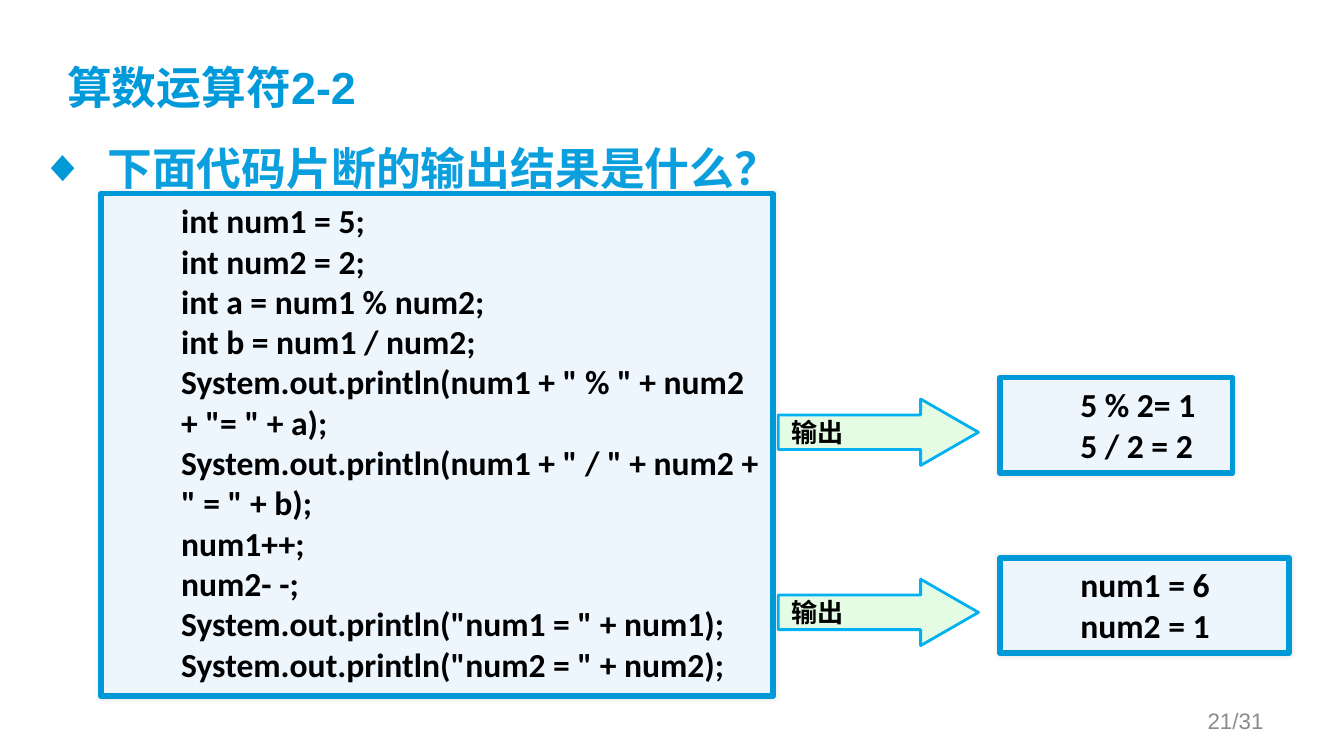
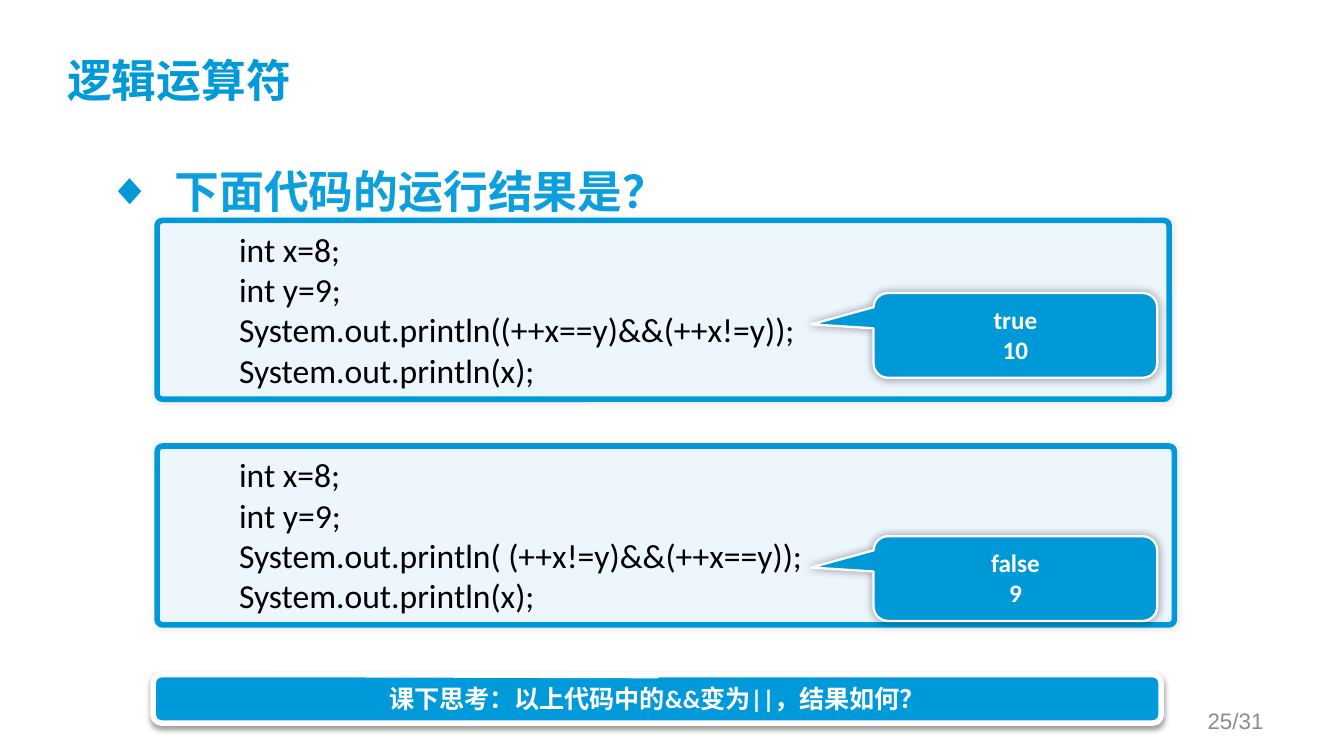
from lxml.etree import SubElement
from pptx import Presentation
from pptx.dml.color import RGBColor
from pptx.enum.shapes import MSO_SHAPE
from pptx.enum.text import MSO_ANCHOR, PP_ALIGN
from pptx.oxml.ns import qn
from pptx.util import Pt

# Colours
BLUE = RGBColor(0x00, 0x99, 0xD8)
TITLE = RGBColor(0x00, 0x9A, 0xDA)
LEAD = RGBColor(0x0B, 0x9F, 0xDD)
PALE = RGBColor(0xED, 0xF5, 0xFD)
MINT = RGBColor(0xE4, 0xFC, 0xE4)
SKY = RGBColor(0x00, 0xB0, 0xF0)
GREY = RGBColor(0x8C, 0x8C, 0x8C)
WHITE = RGBColor(0xFF, 0xFF, 0xFF)
BLACK = RGBColor(0x00, 0x00, 0x00)

# Content
CJK = "Noto Sans CJK SC"
MATH = {
    "title": "算数运算符2-2", "face": "Arial", "top": 23.8, "page": "21/31",
    "lead": "下面代码片断的输出结果是什么？",
    "code": [
        'int num1 = 5;',
        'int num2 = 2;',
        'int a = num1 % num2;',
        'int b = num1 / num2;',
        'System.out.println(num1 + " % " + num2 + "= " + a);',
        'System.out.println(num1 + " / " + num2 + " = " + b);',
        'num1++;',
        'num2- -;',
        'System.out.println("num1 = " + num1);',
        'System.out.println("num2 = " + num2);',
    ],
    "label": "输出",
    # lines, box width
    "prints": [(["5 % 2= 1", "5 / 2 = 2"], 124.6),
               (["num1 = 6", "num2 = 1"], 154.8)],
}
LOGIC = {
    "title": "逻辑运算符", "face": CJK, "top": 16.6, "page": "25/31",
    "lead": "下面代码的运行结果是？",
    # test, answer, box top, box width, callout top
    "cases": [
        ("(++x==y)&&(++x!=y)", ["true", "10"], 118.1, 542.2, 157),
        (" (++x!=y)&&(++x==y)", ["false", "9"], 239, 545, 287.3),
    ],
    "think": "课下思考：以上代码中的&&变为||，结果如何？",
}

# Text formats
HEAD = {"size": Pt(24), "bold": True}
CODE = {"size": Pt(18), "name": "Calibri", "color": BLACK}
BOLD = {**CODE, "bold": True}
NOTE = {"size": Pt(13.5), "name": "Calibri", "color": WHITE, "bold": True}
TAG = {**BOLD, "size": Pt(14)}
FOOT = {"size": Pt(12), "name": "Arial", "color": GREY}

# Shadows: opacity %, blur, distance, angle
SOFT = (10, 3, 0, 0)
DEEP = (40, 5, 0, 0)
DROP = (38, 3.1, 1.6, 90)


def write(shape, lines, look, align=PP_ALIGN.LEFT, anchor=MSO_ANCHOR.TOP,
          left=0, hang=0):
    frame = shape.text_frame
    frame.word_wrap = True
    frame.vertical_anchor = anchor
    for i, line in enumerate(lines):
        para = frame.add_paragraph() if i else frame.paragraphs[0]
        para.alignment = align
        props = para._p.get_or_add_pPr()
        props.set("marL", str(Pt(left)))
        props.set("indent", str(Pt(hang)))
        run = para.add_run()
        run.text = line
        for key, value in look.items():
            if key == "color":
                run.font.color.rgb = value
            else:
                setattr(run.font, key, value)
        SubElement(run._r.get_or_add_rPr(), qn("a:ea"), typeface=CJK)
    return frame


def text(slide, box, lines, look, **form):
    shape = slide.shapes.add_textbox(*map(Pt, box))
    return write(shape, lines, look, **form)


def draw(slide, kind, box, fill, line, width, adjust, shade=None):
    shape = slide.shapes.add_shape(kind, *map(Pt, box))
    for i, value in enumerate(adjust):
        shape.adjustments[i] = value
    shape.fill.solid()
    shape.fill.fore_color.rgb = fill
    shape.line.color.rgb = line
    shape.line.width = Pt(width)
    shape.shadow.inherit = False
    if shade:
        alpha, blur, dist, angle = shade
        list_ = shape._element.spPr.find(qn("a:effectLst"))
        glow = SubElement(list_, qn("a:outerShdw"), blurRad=str(Pt(blur)),
                          dist=str(Pt(dist)), dir=str(angle * 60000),
                          algn="ctr", rotWithShape="0")
        tint = SubElement(glow, qn("a:srgbClr"), val=str(BLACK))
        SubElement(tint, qn("a:alpha"), val=str(alpha * 1000))
    return shape


def panel(slide, box, lines, look, curve=0):
    shape = draw(slide, MSO_SHAPE.ROUNDED_RECTANGLE, box, PALE, BLUE, 3,
                 [curve], SOFT)
    write(shape, lines, look, left=36)


def bubble(slide, box, lines, fill, width, adjust, shade):
    shape = draw(slide, MSO_SHAPE.ROUNDED_RECTANGULAR_CALLOUT, box, fill,
                 WHITE, width, adjust, shade)
    write(shape, lines, NOTE, align=PP_ALIGN.CENTER)


def lead(slide, box, line):
    look = {**HEAD, "name": CJK, "color": LEAD}
    frame = text(slide, box, [line], look, left=36, hang=-36)
    props = frame.paragraphs[0]._p.get_or_add_pPr()
    tint = SubElement(props, qn("a:buClr"))
    SubElement(tint, qn("a:srgbClr"), val=str(BLUE))
    SubElement(props, qn("a:buFont"), typeface="Arial")
    SubElement(props, qn("a:buChar"), char="◆")


def start(deck, data):
    """Add a slide with its title and page number."""
    slide = deck.slides.add_slide(deck.slide_layouts[6])
    top = data["top"]
    look = {**HEAD, "name": data["face"], "color": TITLE}
    frame = text(slide, (36, top, 648, 72 - top), [data["title"]], look,
                 anchor=MSO_ANCHOR.MIDDLE)
    frame.margin_left = frame.margin_top = 0
    text(slide, (516.2, 375.1, 167.8, 21.6), [data["page"]], FOOT,
         align=PP_ALIGN.RIGHT, anchor=MSO_ANCHOR.MIDDLE)
    return slide


def math(deck):
    slide = start(deck, MATH)
    panel(slide, (54, 103.7, 360, 269.3), MATH["code"], BOLD)
    lead(slide, (14.4, 72, 648, 31.7), MATH["lead"])
    # Arrow and printed result on each row
    for i, (lines, width) in enumerate(MATH["prints"]):
        top = 202.3 + 96.5 * i
        panel(slide, (535.7, top, width, 51.1), lines, BOLD)
        arrow = draw(slide, MSO_SHAPE.RIGHT_ARROW,
                     (416.9, top + 11.5, 107.3, 35.6), MINT, SKY, 1.5,
                     [0.52, 0.87])
        write(arrow, [MATH["label"]], TAG, anchor=MSO_ANCHOR.MIDDLE)


def logic(deck):
    slide = start(deck, LOGIC)
    # Code panels with their answers
    for test, answer, top, width, spot in LOGIC["cases"]:
        lines = ["int x=8;", "int y=9;", f"System.out.println({test});",
                 "System.out.println(x);"]
        panel(slide, (84.2, top, width, 95.8), lines, CODE, 0.03)
        bubble(slide, (468, spot, 152, 45.4), answer, BLUE, 1.25,
               [-0.72, -0.13, 0.17], DEEP)
    # Question to take home
    bubble(slide, (82.1, 361.4, 540, 26), [LOGIC["think"]], TITLE, 3,
           [0, -0.48, 0.17], DROP)
    lead(slide, (50.4, 84.2, 635.8, 36), LOGIC["lead"])


def main():
    deck = Presentation()
    deck.slide_width, deck.slide_height = Pt(720), Pt(405)
    math(deck)
    logic(deck)
    deck.save("out.pptx")


if __name__ == "__main__":
    main()
